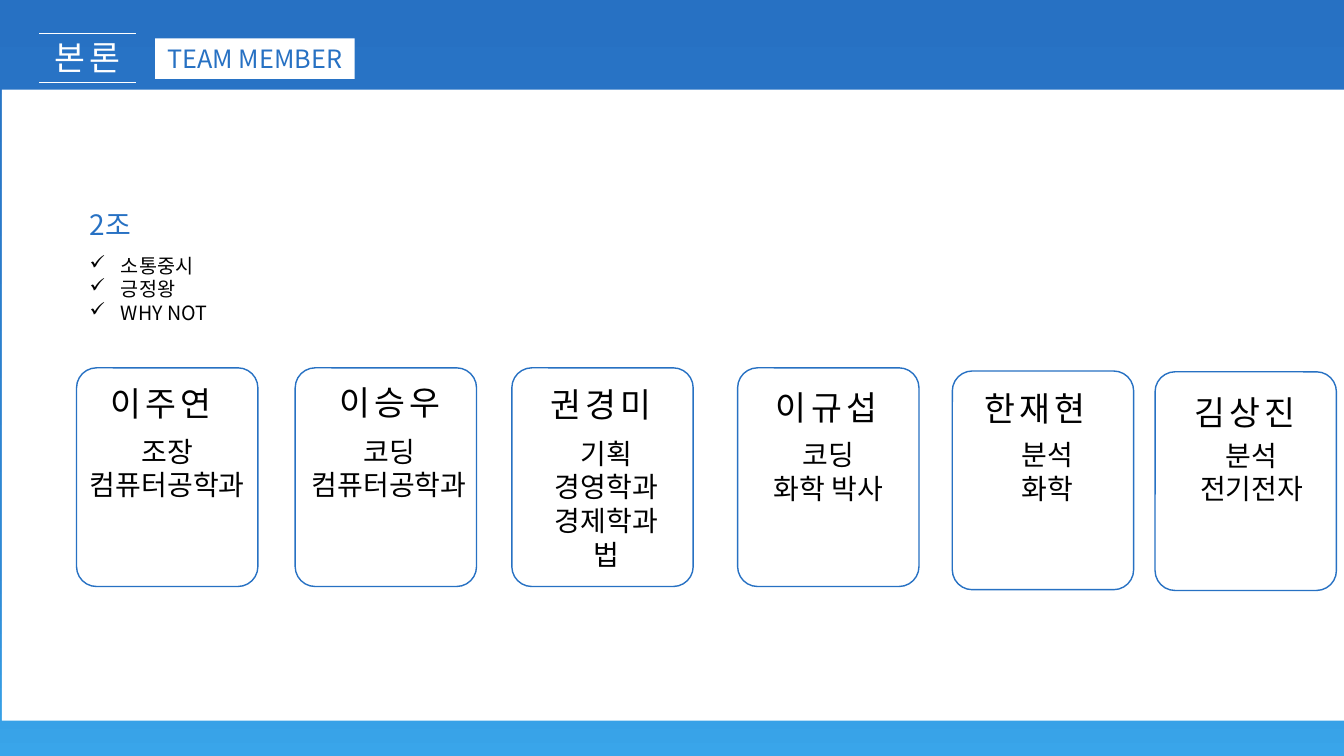
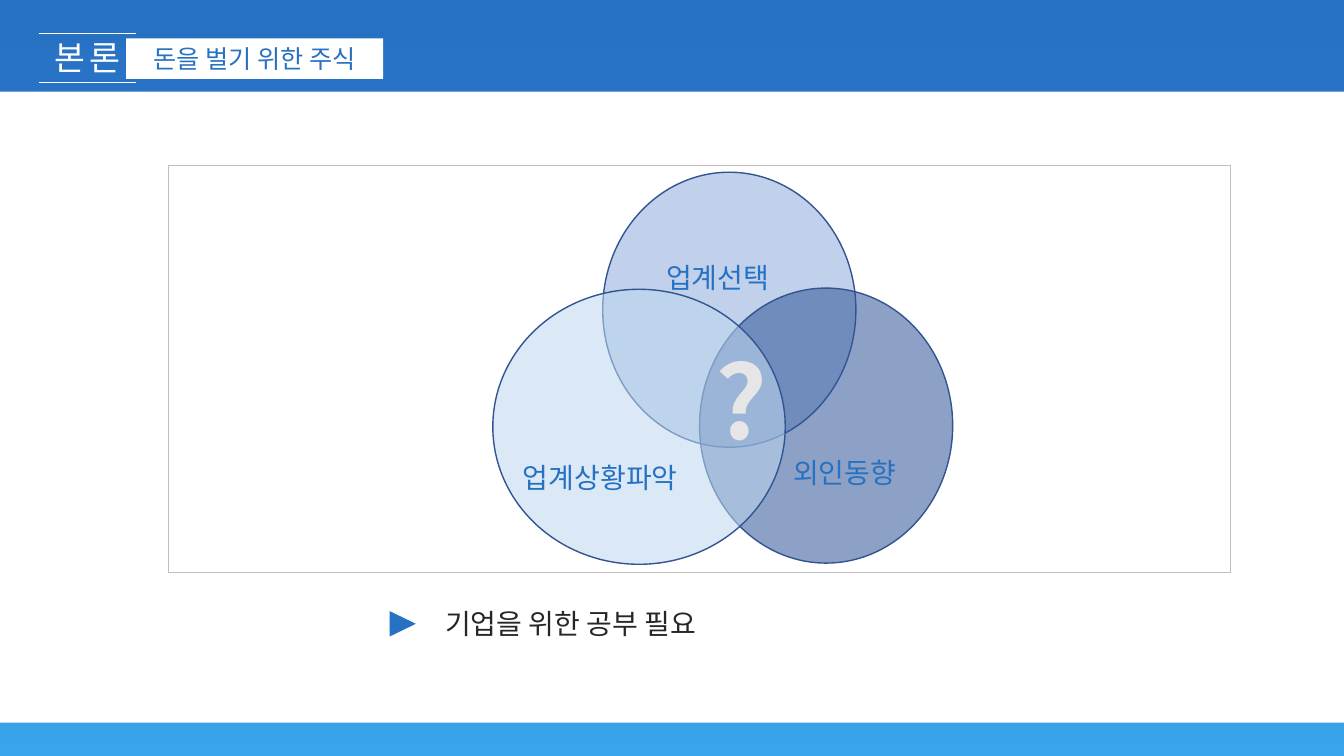
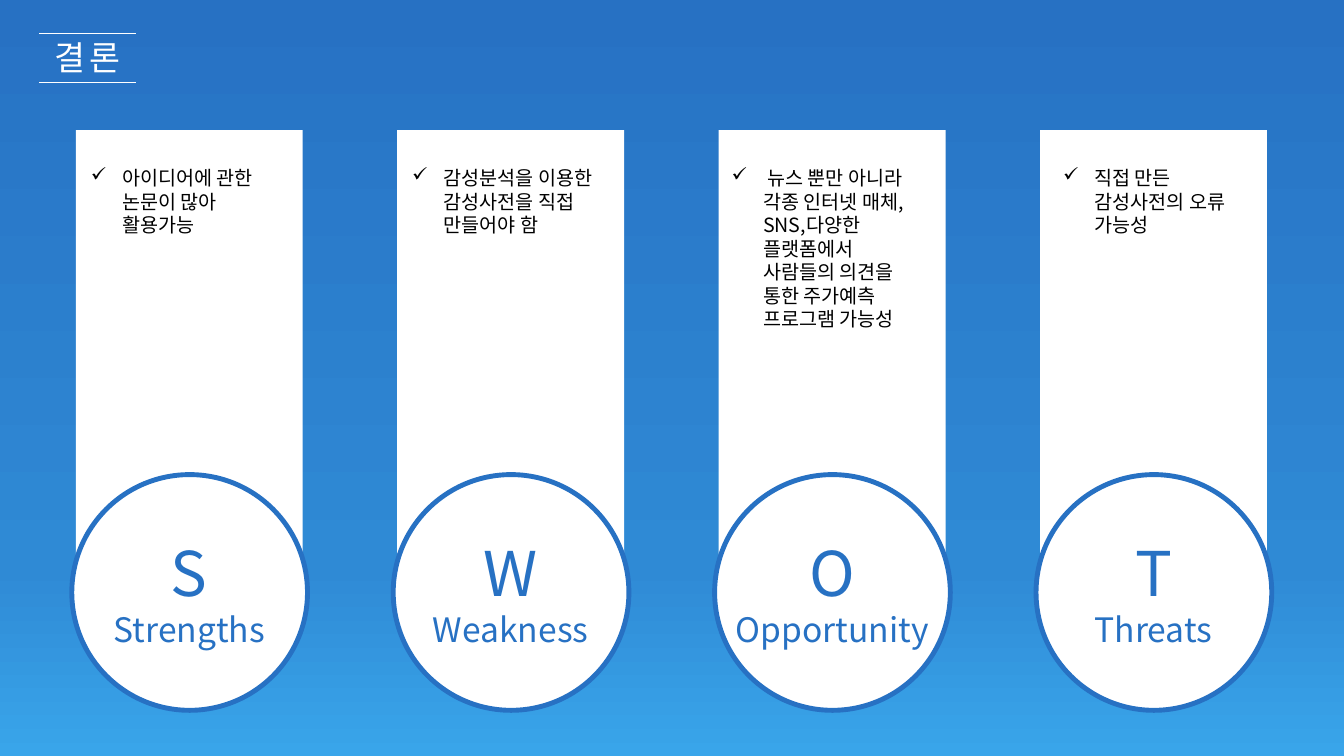
"""Build three slides: team members, a stock circle diagram and a SWOT summary."""
from copy import deepcopy
from itertools import repeat

from lxml.etree import SubElement
from pptx import Presentation
from pptx.dml.color import RGBColor
from pptx.enum.shapes import MSO_CONNECTOR, MSO_SHAPE
from pptx.enum.text import MSO_ANCHOR, MSO_AUTO_SIZE, PP_ALIGN
from pptx.oxml.ns import qn
from pptx.util import Cm, Pt

FONT = "Noto Sans CJK KR"
COLORS = {
    "blue": "2771C3", "mid": "2F8AD5", "sky": "39A5EA", "white": "FFFFFF",
    "black": "000000", "ink": "262626", "frame": "BFBFBF", "outline": "325491",
    "periwinkle": "8FAADC", "navy": "2F5597", "ice": "BDD7EE", "pale": "E7E6E6",
}


def rgb(name):
    return RGBColor.from_string(COLORS[name])


def write_text(tf, text, size=20, color="black", align=PP_ALIGN.LEFT, bold=False,
               spacing=0, bullet=None, wrap=False, anchor=MSO_ANCHOR.TOP):
    tf.word_wrap = wrap
    tf.auto_size = MSO_AUTO_SIZE.SHAPE_TO_FIT_TEXT
    tf.vertical_anchor = anchor
    sizes = size if isinstance(size, tuple) else repeat(size)
    for i, (line, pt) in enumerate(zip(text.split("\n"), sizes)):
        p = tf.add_paragraph() if i else tf.paragraphs[0]
        p.alignment = align
        if bullet:
            pPr = p._p.get_or_add_pPr()
            pPr.set("marL", str(Cm(0.79)))
            pPr.set("indent", str(-Cm(0.79)))
            SubElement(pPr, qn("a:buChar")).set("char", bullet)
        r = p.add_run()
        r.text = line
        r.font.size, r.font.bold, r.font.name = Pt(pt), bold, FONT
        r.font.color.rgb = rgb(color)
        rPr = r._r.get_or_add_rPr()
        SubElement(rPr, qn("a:ea")).set("typeface", FONT)
        if spacing:
            rPr.set("spc", str(spacing * 100))


class Deck:
    def __init__(self):
        self.prs = Presentation()
        self.prs.slide_width, self.prs.slide_height = Cm(33.87), Cm(19.05)
        self.s = None
        master = self.prs.slide_master
        fill = master.background.fill
        fill.gradient()
        fill.gradient_angle = 270
        stops = master.element.find(".//" + qn("a:gsLst"))
        stops.append(deepcopy(stops[0]))
        shades = ((0, "blue"), (0.75, "mid"), (1, "sky"))
        for stop, (position, color) in zip(fill.gradient_stops, shades):
            stop.position = position
            stop.color.rgb = rgb(color)

    def slide(self, title):
        self.s = self.prs.slides.add_slide(self.prs.slide_layouts[5])
        sp = self.s.shapes.title
        sp.left, sp.top, sp.width, sp.height = Cm(1.09), Cm(0.79), Cm(2.21), Cm(1.27)
        write_text(sp.text_frame, title, size=24, color="white",
                   align=PP_ALIGN.CENTER, spacing=3)
        for y in (0.84, 2.06):
            self.line(0.99, y, 3.43, y)

    def line(self, x1, y1, x2, y2, color="white", width=0.25):
        cxn = self.s.shapes.add_connector(MSO_CONNECTOR.STRAIGHT,
                                          Cm(x1), Cm(y1), Cm(x2), Cm(y2))
        cxn.line.color.rgb = rgb(color)
        cxn.line.width = Pt(width)
        SubElement(cxn._element.spPr, qn("a:effectLst"))

    def shape(self, kind, x, y, w, h, fill=None, line=None, width=1, opacity=None):
        sp = self.s.shapes.add_shape(kind, Cm(x), Cm(y), Cm(w), Cm(h))
        sp.shadow.inherit = False
        if fill:
            sp.fill.solid()
            sp.fill.fore_color.rgb = rgb(fill)
        else:
            sp.fill.background()
        if opacity:
            clr = sp._element.spPr.find(qn("a:solidFill") + "/" + qn("a:srgbClr"))
            SubElement(clr, qn("a:alpha")).set("val", str(opacity * 1000))
        if line:
            sp.line.color.rgb = rgb(line)
            sp.line.width = Pt(width)
        else:
            sp.line.fill.background()
        return sp

    def text(self, x, y, w, h, text, **fmt):
        box = self.s.shapes.add_textbox(Cm(x), Cm(y), Cm(w), Cm(h))
        write_text(box.text_frame, text, **fmt)

    def tag(self, x, w, text):
        sp = self.shape(MSO_SHAPE.RECTANGLE, x, 0.97, w, 1.02, fill="white")
        write_text(sp.text_frame, text, size=18, color="blue",
                   align=PP_ALIGN.CENTER, anchor=MSO_ANCHOR.MIDDLE)

    def panel(self, x, y):
        self.shape(MSO_SHAPE.RECTANGLE, x, y, 33.87, 15.9, fill="white")

    def checklist(self, x, y, w, h, text, wrap=False):
        self.text(x, y, w, h, text, size=14, bullet="✓", wrap=wrap)

    def member(self, name, roles, card, name_at, role_at, role_w):
        sp = self.shape(MSO_SHAPE.ROUNDED_RECTANGLE, *card, 4.57, 5.51, line="blue")
        sp.adjustments[0] = 0.11
        self.text(*name_at, 3.4, 1.27, name, size=24, align=PP_ALIGN.CENTER, spacing=3)
        role_h = 0.24 + 0.86 * len(roles.split("\n"))
        self.text(*role_at, role_w, role_h, roles, align=PP_ALIGN.CENTER)

    def swot(self, x, word, note, note_dx, note_h):
        self.shape(MSO_SHAPE.RECTANGLE, x, 3.28, 5.72, 12.4, fill="white")
        self.shape(MSO_SHAPE.OVAL, x - 0.1, 11.96, 5.94, 5.94,
                   fill="white", line="blue", width=3.5)
        self.checklist(x + note_dx, 4.06, 5.46, note_h, note, wrap=True)
        self.text(x + 0.04, 13.36, 5.64, 3.18, f"{word[0]}\n{word}", size=(44, 24),
                  color="blue", align=PP_ALIGN.CENTER, wrap=True)


def team_slide(deck):
    deck.slide("본론")
    deck.tag(3.91, 5.03, "TEAM MEMBER")
    deck.panel(0.05, 2.26)
    deck.text(2.01, 5.11, 1.85, 1.12, "2조", color="blue")
    deck.checklist(2.01, 6.27, 3.61, 2.06, "소통중시\n긍정왕\nWHY NOT")
    members = (
        ("이주연", "조장\n컴퓨터공학과", (1.93, 9.27), (2.36, 9.53), (1.83, 10.82), 4.78),
        ("이승우", "코딩\n컴퓨터공학과", (7.44, 9.27), (8.13, 9.5), (7.42, 10.82), 4.78),
        ("권경미", "기획\n경영학과\n경제학과\n법",
         (12.9, 9.27), (13.44, 9.55), (13.61, 10.87), 3.35),
        ("이규섭", "코딩\n화학 박사", (18.59, 9.27), (19.13, 9.63), (19.08, 10.9), 3.61),
        ("한재현", "분석\n화학", (24, 9.35), (24.38, 9.65), (25.43, 10.9), 1.93),
        ("김상진", "분석\n전기전자", (29.11, 9.37), (29.67, 9.75), (29.87, 10.92), 3.35),
    )
    for member in members:
        deck.member(*member)


def stock_slide(deck):
    deck.slide("본론")
    deck.tag(3.18, 6.48, "돈을 벌기 위한 주식")
    deck.panel(0, 2.31)
    deck.shape(MSO_SHAPE.RECTANGLE, 4.24, 4.17, 26.77, 10.26, line="frame")
    arrow = deck.shape(MSO_SHAPE.ISOSCELES_TRIANGLE, 9.83, 15.39, 0.64, 0.66, fill="blue")
    arrow.rotation = 90
    deck.text(10.97, 15.16, 7.92, 1.12, "기업을 위한 공부 필요", color="ink")
    circles = ((15.19, 4.34, 6.38, "periwinkle"), (17.63, 7.26, 6.38, "navy"),
               (12.42, 7.29, 7.37, "ice"))
    for x, y, w, color in circles:
        deck.shape(MSO_SHAPE.OVAL, x, y, w, 6.93, fill=color, line="outline", opacity=55)
    labels = ((19.74, 11.35, 3.35, "외인동향"), (12.93, 11.48, 4.78, "업계상황파악"),
              (16.54, 6.45, 3.35, "업계선택"))
    for x, y, w, label in labels:
        deck.text(x, y, w, 1.12, label, color="blue")
    deck.text(17.78, 8.41, 2.18, 3.33, "?", size=72, color="pale", bold=True, wrap=True)


def swot_slide(deck):
    deck.slide("결론")
    columns = (
        ("Strengths", "아이디어에 관한 논문이 많아 활용가능", 0.13, 2.06),
        ("Weakness", "감성분석을 이용한 감성사전을 직접 만들어야 함", 0.13, 2.06),
        ("Opportunity", " 뉴스 뿐만 아니라 각종 인터넷 매체, SNS,다양한 플랫폼에서 "
                        "사람들의 의견을 통한 주가예측 프로그램 가능성", 0.08, 4.45),
        ("Threats", "직접 만든 감성사전의 오류 가능성", 0.33, 2.06),
    )
    for i, column in enumerate(columns):
        deck.swot(1.91 + 8.1 * i, *column)


def main():
    deck = Deck()
    for build in (team_slide, stock_slide, swot_slide):
        build(deck)
    deck.prs.save("out.pptx")


if __name__ == "__main__":
    main()
